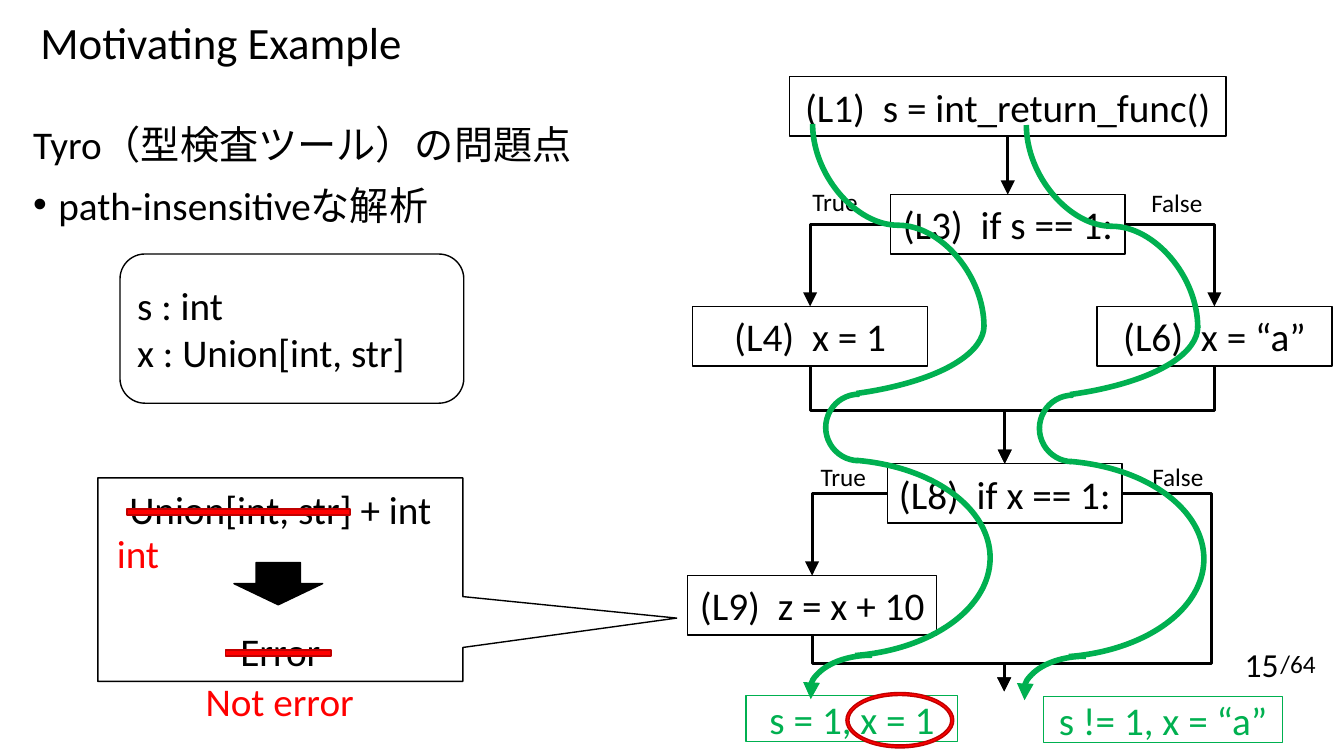
from lxml import etree
from pptx import Presentation
from pptx.dml.color import RGBColor
from pptx.enum.shapes import MSO_CONNECTOR, MSO_SHAPE
from pptx.enum.text import MSO_ANCHOR, MSO_AUTO_SIZE, PP_ALIGN
from pptx.oxml.ns import qn
from pptx.util import Inches, Pt

BLACK = RGBColor(0x00, 0x00, 0x00)
WHITE = RGBColor(0xFF, 0xFF, 0xFF)
GREEN = RGBColor(0x00, 0xB0, 0x50)
RED = RGBColor(0xFF, 0x00, 0x00)
DARK_RED = RGBColor(0xC0, 0x00, 0x00)
LEFT, CENTER, RIGHT = PP_ALIGN.LEFT, PP_ALIGN.CENTER, PP_ALIGN.RIGHT
TOP, MIDDLE = MSO_ANCHOR.TOP, MSO_ANCHOR.MIDDLE
RECTANGLE, ARC, MINUS = MSO_SHAPE.RECTANGLE, MSO_SHAPE.ARC, MSO_SHAPE.MATH_MINUS
STRAIGHT, ELBOW, CURVE = MSO_CONNECTOR.STRAIGHT, MSO_CONNECTOR.ELBOW, MSO_CONNECTOR.CURVE
FONT = "Calibri"

TITLE = "Motivating Example"
BODY = ["Tyro（型検査ツール）の問題点", "path-insensitiveな解析"]
TYPES = ["s : int", "x : Union[int, str]"]
# Flow chart boxes: text and (left, top, width, height)
BOXES = {
    "L1": ("(L1)  s = int_return_func()", (7.83, 0.76, 4.33, 0.59)),
    "L4": ("(L4)  x = 1", (6.87, 3.04, 2.33, 0.59)),
    "L6": ("(L6)  x = “a”", (10.88, 3.04, 2.33, 0.59)),
    "L9": ("(L9)  z = x + 10", (6.82, 5.71, 2.47, 0.59)),
    "L3": ("(L3)  if s == 1:", (8.83, 1.93, 2.33, 0.59)),
    "L8": ("(L8)  if x == 1:", (8.8, 4.6, 2.33, 0.59)),
}
EXIT = (9.96, 6.86)
# Side exits of the conditions, then merges with the share of the way to the bend
BRANCHES = [("L3", "right", "L6"), ("L3", "left", "L4"), ("L8", "left", "L9")]
MERGES = [("L4", "L8", 0.455), ("L6", "L8", 0.455), ("L9", EXIT, 0.5)]
BRANCH_LABELS = [("True", 7.96, 1.8), ("True", 8.04, 4.53),
                 ("False", 11.32, 1.81), ("False", 11.33, 4.53)]
# Execution path: first curve, then arcs with place, rotation and start and end adjustments
PATH_CURVE = ((10.18, 1.24), (11.88, 3.25))
PATH_ARCS = [
    ((9.21, 1.29, 1.44, 3.9), 90, (162, 188.79)),
    ((10.31, 3.92, 0.66, 0.66), 270, (109.29, 0.59)),
    ((9.45, 4.03, 1.95, 3.03), 90, (114.71, 209.87)),
    ((10.4, 6.26, 0.73, 1.23), 270, (157.94, 0.59)),
]
PATH_SHIFTS = [(0, 0), (-2.12, -0.01)]
RESULTS = [("s = 1, x = 1", (7.4, 6.9, 2.1, 0.46)),
           ("s != 1, x = “a”", (10.35, 6.91, 2.37, 0.46))]
STRIKES = [(0.86, 4.96, 3.01, 0.24), (2.05, 6.35, 1.42, 0.26)]
CORRECTIONS = [("int", (1.06, 5.2, 0.81, 0.57)), ("Not error", (1.94, 6.67, 2.02, 0.57))]


def write(shape, lines, size=28, color=BLACK, align=LEFT, anchor=TOP, gap=0):
    """Fill a shape with paragraphs; gap is the space before each later one."""
    frame = shape.text_frame
    frame.word_wrap = True
    frame.auto_size = MSO_AUTO_SIZE.NONE
    frame.vertical_anchor = anchor
    for number, text in enumerate(lines):
        para = frame.add_paragraph() if number else frame.paragraphs[0]
        para.alignment = align
        para.space_before = Pt(gap if number else 0)
        span = para.add_run()
        span.text = text
        span.font.name, span.font.size = FONT, Pt(size)
        span.font.color.rgb = color
    return shape


def add_text(place, text, **style):
    """Add a text box holding one or more lines."""
    lines = [text] if isinstance(text, str) else text
    return write(shapes.add_textbox(*map(Inches, place)), lines, **style)


def add_box(kind, place, fill=None, line=BLACK, width=1, adjust=(), parent=None):
    """Add a preset shape with plain fill and outline."""
    box = (parent or shapes).add_shape(kind, *map(Inches, place))
    box.shadow.inherit = False
    if fill is None:
        box.fill.background()
    else:
        box.fill.solid()
        box.fill.fore_color.rgb = fill
    box.line.color.rgb = line
    box.line.width = Pt(width)
    for number, value in enumerate(adjust):
        box.adjustments[number] = value
    return box


def add_arrowhead(shape, end, size="med"):
    """Put a triangle on one end ("headEnd" or "tailEnd") of an outline."""
    outline = shape._element.spPr.find(qn("a:ln"))
    head = etree.SubElement(outline, qn("a:" + end))
    for name, value in (("type", "triangle"), ("w", size), ("len", size)):
        head.set(name, value)


def add_link(begin, end, kind=STRAIGHT, preset=None, adjust=(), vertical=False,
             color=BLACK, width=2, arrow=True, parent=None):
    """Connect two points; a vertical link leaves and arrives vertically."""
    link = (parent or shapes).add_connector(kind, *map(Inches, begin + end))
    link.line.color.rgb = color
    link.line.width = Pt(width)
    if arrow:
        add_arrowhead(link, "tailEnd", "lg")
    properties = link._element.spPr
    etree.SubElement(properties, qn("a:effectLst"))
    if vertical:
        # A quarter turn about the centre swaps width and height
        across, down = abs(end[0] - begin[0]), end[1] - begin[1]
        link.left = Inches((begin[0] + end[0] - down) / 2)
        link.top = Inches((begin[1] + end[1] - across) / 2)
        link.width, link.height = Inches(down), Inches(across)
        frame = properties.find(qn("a:xfrm"))
        rightward = end[0] > begin[0]
        frame.set("rot", str((270 if rightward else 90) * 60000))
        frame.set("flipH", "1" if rightward else "0")
    geometry = properties.find(qn("a:prstGeom"))
    if preset:
        geometry.set("prst", preset)
    values = geometry.find(qn("a:avLst"))
    for number, value in enumerate(adjust, 1):
        guide = etree.SubElement(values, qn("a:gd"))
        guide.set("name", f"adj{number}")
        guide.set("fmla", f"val {round(value * 100000)}")


def side(name, edge):
    """Return the middle of one edge of a flow chart box."""
    left, top, width, height = BOXES[name][1]
    across, down = {"top": (0.5, 0), "bottom": (0.5, 1),
                    "left": (0, 0.5), "right": (1, 0.5)}[edge]
    return left + across * width, top + down * height


def add_path(shift_x, shift_y):
    """Draw one green execution path as a group of a curve and arcs."""
    group = shapes.add_group_shape().shapes
    begin, end = [(x + shift_x, y + shift_y) for x, y in PATH_CURVE]
    add_link(begin, end, CURVE, vertical=True, color=GREEN, width=4, arrow=False, parent=group)
    for (left, top, width, height), turn, limits in PATH_ARCS:
        arc = add_box(ARC, (left + shift_x, top + shift_y, width, height), line=GREEN,
                      width=4, adjust=limits, parent=group)
        arc.rotation = turn
    add_arrowhead(arc, "headEnd")


deck = Presentation()
deck.slide_width, deck.slide_height = Inches(13.33), Inches(7.5)
page = deck.slides.add_slide(deck.slide_layouts[5])
shapes = page.shapes

title = shapes.title
title.left, title.top, title.width, title.height = map(Inches, (0.3, 0.1, 3.92, 0.64))
write(title, [TITLE], size=32)

for label, place in BOXES.values():
    write(add_box(RECTANGLE, place, fill=WHITE), [label], align=CENTER, anchor=MIDDLE)

add_link(side("L1", "bottom"), side("L3", "top"))
for source, edge, target in BRANCHES:
    add_link(side(source, edge), side(target, "top"), ELBOW, preset="bentConnector2")
for source, target, bend in MERGES:
    end = target if target == EXIT else side(target, "top")
    add_link(side(source, "bottom"), end, ELBOW, adjust=[bend], vertical=True)
add_link(side("L8", "right"), EXIT, ELBOW, preset="bentConnector4", adjust=[-0.76, 0.857])
for label, left, top in BRANCH_LABELS:
    add_text((left, top, 0.81, 0.4), label, size=18)

callout = add_box(MSO_SHAPE.RECTANGULAR_CALLOUT, (0.97, 4.74, 3.62, 2.02), adjust=(1.086, 0.189))
write(callout, ["Union[int, str] + int", "Error"], align=CENTER, anchor=MIDDLE, gap=68)
add_box(MSO_SHAPE.DOWN_ARROW, (2.32, 5.58, 0.88, 0.42), fill=BLACK)

for shift in PATH_SHIFTS:
    add_path(*shift)
for label, place in RESULTS:
    write(add_box(RECTANGLE, place, line=GREEN), [label], color=GREEN, align=CENTER, anchor=MIDDLE)
add_box(MSO_SHAPE.DONUT, (8.39, 6.87, 1.07, 0.55), fill=RED, line=DARK_RED, adjust=[0.055])
for place in STRIKES:
    add_box(MINUS, place, fill=RED, line=DARK_RED)
for label, place in CORRECTIONS:
    add_text(place, label, color=RED)

add_text((9.78, 6.39, 3, 0.4), "15", size=24, align=RIGHT, anchor=MIDDLE)
add_text((12.34, 6.37, 1.07, 0.43), "/64", size=18, align=CENTER, anchor=MIDDLE)

body = add_text((0.23, 1.14, 6.18, 1.23), BODY, gap=10)
bullet = body.text_frame.paragraphs[1]._p.get_or_add_pPr()
bullet.set("marL", str(Inches(0.25)))
bullet.set("indent", str(-Inches(0.25)))
etree.SubElement(bullet, qn("a:buFont")).set("typeface", "Arial")
etree.SubElement(bullet, qn("a:buChar")).set("char", "•")

write(add_box(MSO_SHAPE.ROUNDED_RECTANGLE, (1.19, 2.52, 3.41, 1.48)), TYPES, anchor=MIDDLE)

deck.save("out.pptx")
